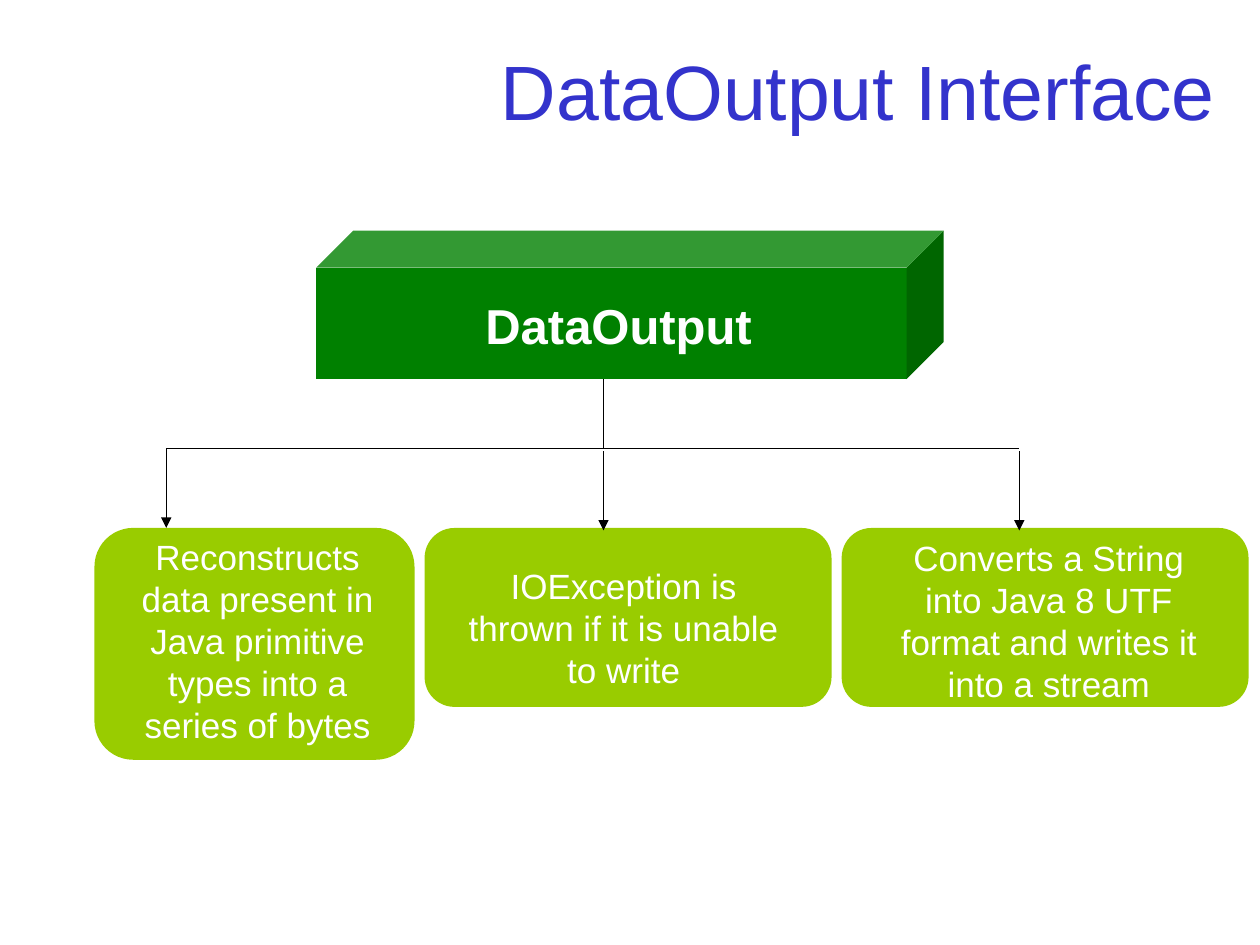
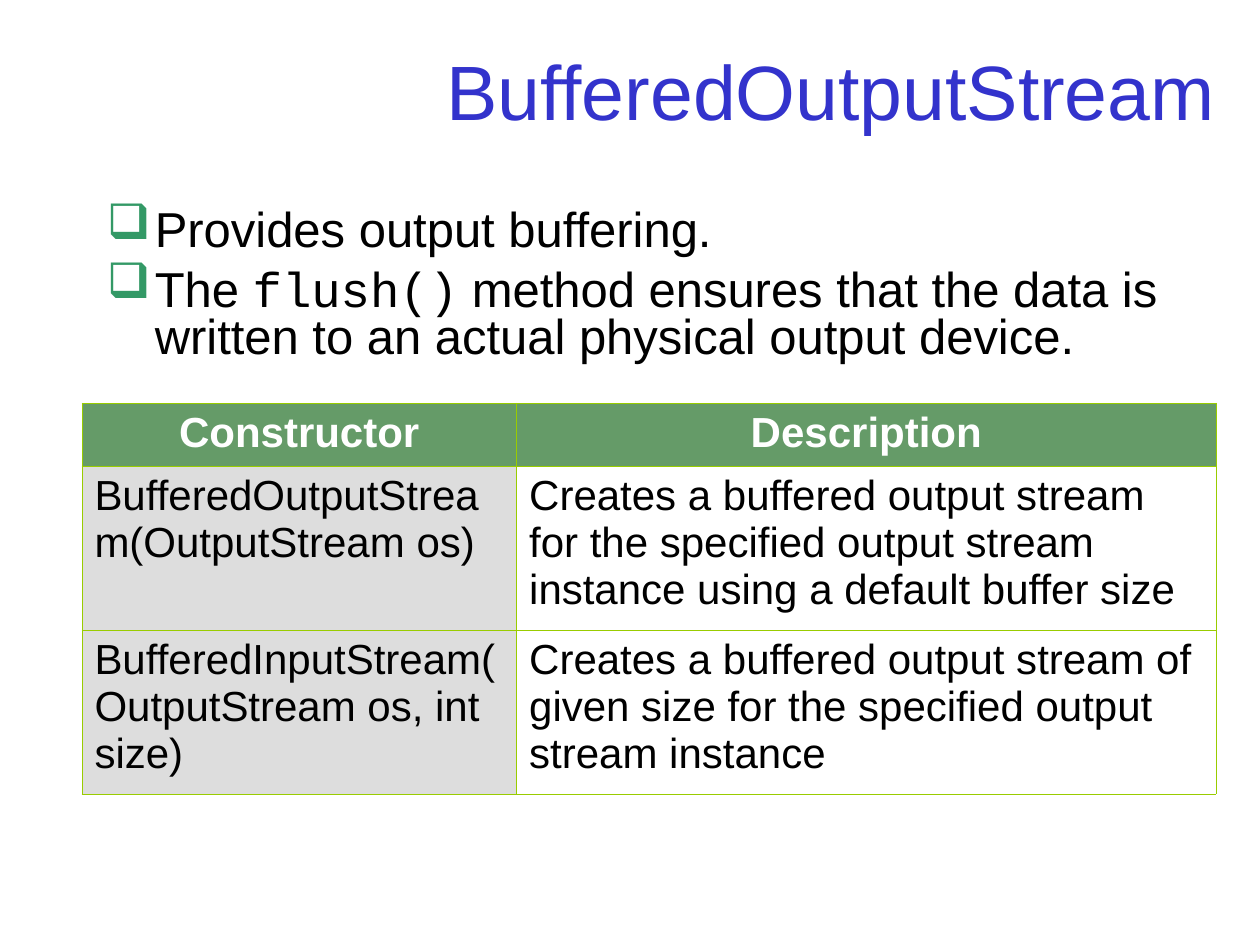
import pptx
import pptx.util
import pptx.dml.color
import pptx.enum.shapes
import pptx.enum.text
import pptx.oxml.ns
from lxml import etree

Inches = pptx.util.Inches
Pt = pptx.util.Pt
SHAPE = pptx.enum.shapes.MSO_SHAPE
ALIGN = pptx.enum.text.PP_ALIGN
ANCHOR = pptx.enum.text.MSO_ANCHOR
qn = pptx.oxml.ns.qn

COLORS = {
    "title": "3333CC",
    "interface": "008000",
    "lime": "99CC00",
    "bullet": "339966",
    "header": "659B68",
    "constructor": "DDDDDD",
    "white": "FFFFFF",
    "black": "000000",
}
BODY_FONT = "Arial"
CODE_FONT = "Courier New"


def rgb(color):
    return pptx.dml.color.RGBColor.from_string(COLORS[color])


def add_run(paragraph, text, size, color="black", font=BODY_FONT, bold=False):
    run = paragraph.add_run()
    run.text = text
    run.font.size = Pt(size)
    run.font.name = font
    run.font.bold = bold
    run.font.color.rgb = rgb(color)


def add_text(slide, text, left, top, width, height, align=ALIGN.CENTER,
             anchor=ANCHOR.TOP, **run_format):
    box = slide.shapes.add_textbox(Inches(left), Inches(top), Inches(width), Inches(height))
    frame = box.text_frame
    frame.word_wrap = True
    frame.vertical_anchor = anchor
    frame.paragraphs[0].alignment = align
    add_run(frame.paragraphs[0], text, **run_format)


def add_titled_slide(deck, title):
    slide = deck.slides.add_slide(deck.slide_layouts[6])
    add_text(slide, title, 0.75, 0.28, 9, 0.87, align=ALIGN.RIGHT,
             anchor=ANCHOR.MIDDLE, size=44, color="title")
    return slide


def add_block(slide, preset, color, left, top, width, height, adjustment):
    block = slide.shapes.add_shape(preset, Inches(left), Inches(top),
                                   Inches(width), Inches(height))
    block.adjustments[0] = adjustment
    block.shadow.inherit = False
    block.fill.solid()
    block.fill.fore_color.rgb = rgb(color)
    block.line.fill.background()


def add_line(slide, x1, y1, x2, y2, arrow=False):
    line = slide.shapes.add_connector(pptx.enum.shapes.MSO_CONNECTOR.STRAIGHT,
                                      Inches(x1), Inches(y1), Inches(x2), Inches(y2))
    line.line.width = Pt(0.75)
    line.line.color.rgb = rgb("black")
    if arrow:
        etree.SubElement(line.line._get_or_add_ln(), qn("a:tailEnd"), type="triangle")
    etree.SubElement(line._element.spPr, qn("a:effectLst"))


def add_bullets(slide, bullets, left, top, width, height):
    """Each bullet is a list of (text, font) runs."""
    box = slide.shapes.add_textbox(Inches(left), Inches(top), Inches(width), Inches(height))
    frame = box.text_frame
    frame.word_wrap = True
    for index, runs in enumerate(bullets):
        paragraph = frame.add_paragraph() if index else frame.paragraphs[0]
        paragraph.line_spacing = 0.8
        paragraph.space_before = Pt(7)
        properties = paragraph._p.get_or_add_pPr()
        properties.set("marL", str(Inches(0.38)))
        properties.set("indent", str(-Inches(0.38)))
        bullet_color = etree.SubElement(properties, qn("a:buClr"))
        etree.SubElement(bullet_color, qn("a:srgbClr"), val=COLORS["bullet"])
        etree.SubElement(properties, qn("a:buChar"), char="❑")
        for text, font in runs:
            add_run(paragraph, text, 28, font=font)


def set_borders(cell, color, width):
    properties = cell._tc.get_or_add_tcPr()
    for index, side in enumerate(("lnL", "lnR", "lnT", "lnB")):
        border = etree.Element(qn(f"a:{side}"), w=str(Pt(width)))
        fill = etree.SubElement(border, qn("a:solidFill"))
        etree.SubElement(fill, qn("a:srgbClr"), val=COLORS[color])
        properties.insert(index, border)


def add_table(slide, rows, left, top, column_widths, row_heights):
    table = slide.shapes.add_table(
        len(rows), len(column_widths), Inches(left), Inches(top),
        Inches(sum(column_widths)), Inches(sum(row_heights))).table
    for column, width in zip(table.columns, column_widths):
        column.width = Inches(width)
    for row, height in zip(table.rows, row_heights):
        row.height = Inches(height)
    for r, texts in enumerate(rows):
        is_header = r == 0
        for c, text in enumerate(texts):
            cell = table.cell(r, c)
            cell.fill.solid()
            cell.fill.fore_color.rgb = rgb(
                "header" if is_header else ("constructor", "white")[c])
            set_borders(cell, "lime", 0.45)
            paragraph = cell.text_frame.paragraphs[0]
            paragraph.alignment = ALIGN.CENTER if is_header else ALIGN.LEFT
            paragraph.space_before = Pt(6)
            add_run(paragraph, text, 24, "white" if is_header else "black", bold=is_header)


def build_data_output(deck):
    slide = add_titled_slide(deck, "DataOutput Interface")
    add_block(slide, SHAPE.CUBE, "interface", 2.51, 1.83, 4.98, 1.18, 0.25)
    add_text(slide, "DataOutput", 3.53, 2.3, 2.76, 0.57, size=28, color="white", bold=True)

    branch_y, features_top = 3.56, 4.19
    add_line(slide, 4.79, 3.01, 4.79, branch_y)
    add_line(slide, 1.32, branch_y, 8.09, branch_y)

    # feature, block (left, width, height), text (left, top, width, height), arrow (x, drop)
    features = [
        ("Reconstructs data present in Java primitive types into a series of bytes",
         (0.75, 2.54, 1.84), (0.93, 4.2, 2.23, 1.77), (1.32, 0)),
        ("IOException is thrown if it is unable to write",
         (3.37, 3.23, 1.42), (3.53, 4.43, 2.84, 1.1), (4.79, 0.02)),
        ("Converts a String into Java 8 UTF format and writes it into a stream",
         (6.68, 3.23, 1.42), (6.91, 4.21, 2.83, 1.44), (8.09, 0.02)),
    ]
    for feature, (left, width, height), text_area, (arrow_x, drop) in features:
        add_block(slide, SHAPE.ROUNDED_RECTANGLE, "lime",
                  left, features_top, width, height, 0.167)
        add_text(slide, feature, *text_area, size=20, color="white")
        add_line(slide, arrow_x, branch_y + drop, arrow_x, features_top + drop, arrow=True)


def build_buffered_output(deck):
    slide = add_titled_slide(deck, "BufferedOutputStream")
    add_bullets(slide, [
        [("Provides output buffering.", BODY_FONT)],
        [("The ", BODY_FONT), ("flush()", CODE_FONT),
         (" method ensures that the data is written to an actual physical output device.",
          BODY_FONT)],
    ], 0.75, 1.62, 9.25, 1.57)
    add_table(slide, [
        ("Constructor", "Description"),
        ("BufferedOutputStream(OutputStream os)",
         "Creates a buffered output stream for the specified output stream instance "
         "using a default buffer size"),
        ("BufferedInputStream(OutputStream os, int size)",
         "Creates a buffered output stream of given size for the specified output "
         "stream instance"),
    ], 0.65, 3.2, (3.45, 5.55), (0.5, 1.3, 1.3))


def main():
    deck = pptx.Presentation()
    deck.slide_width, deck.slide_height = Inches(10), Inches(7.5)
    build_data_output(deck)
    build_buffered_output(deck)
    deck.save("out.pptx")


if __name__ == "__main__":
    main()
